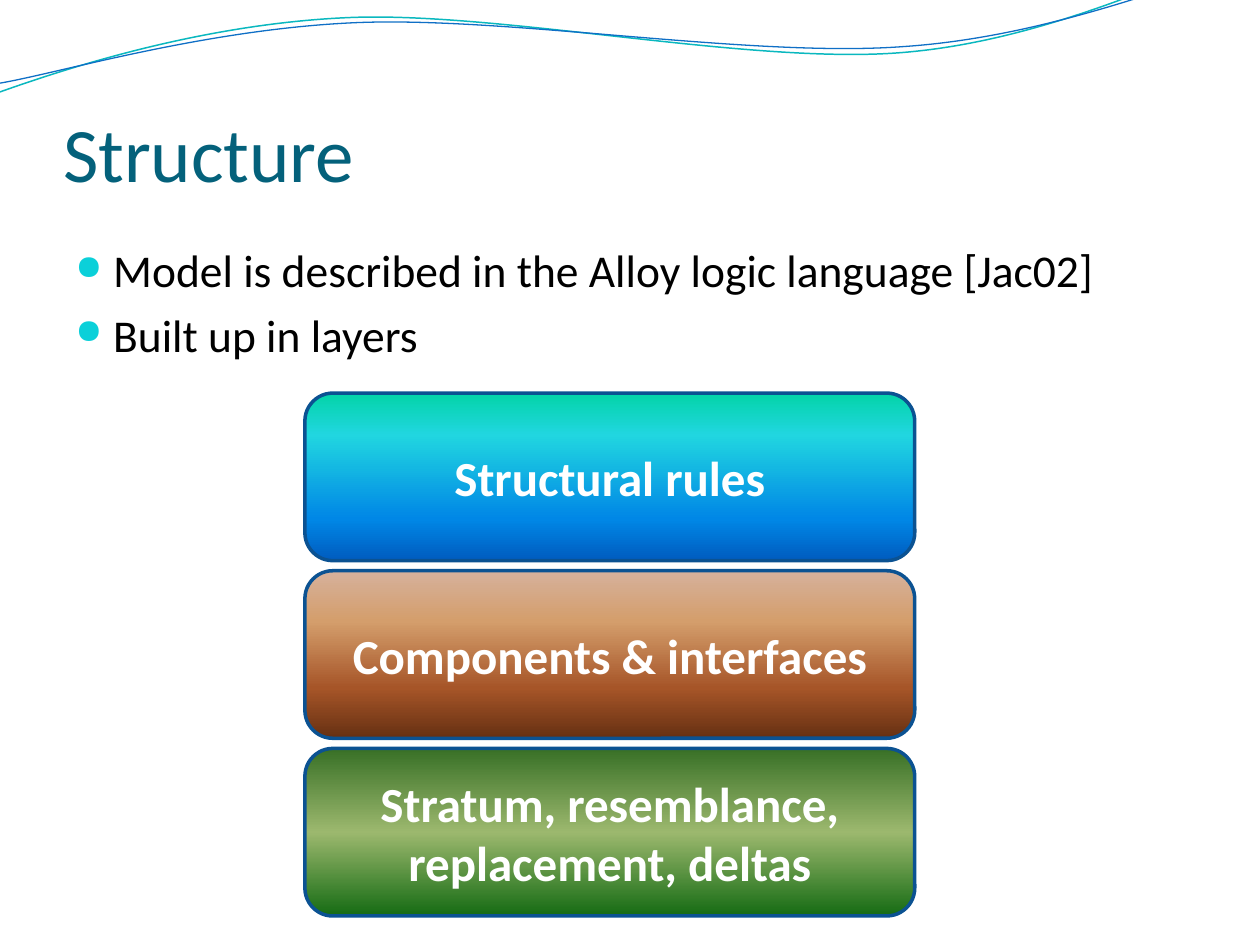
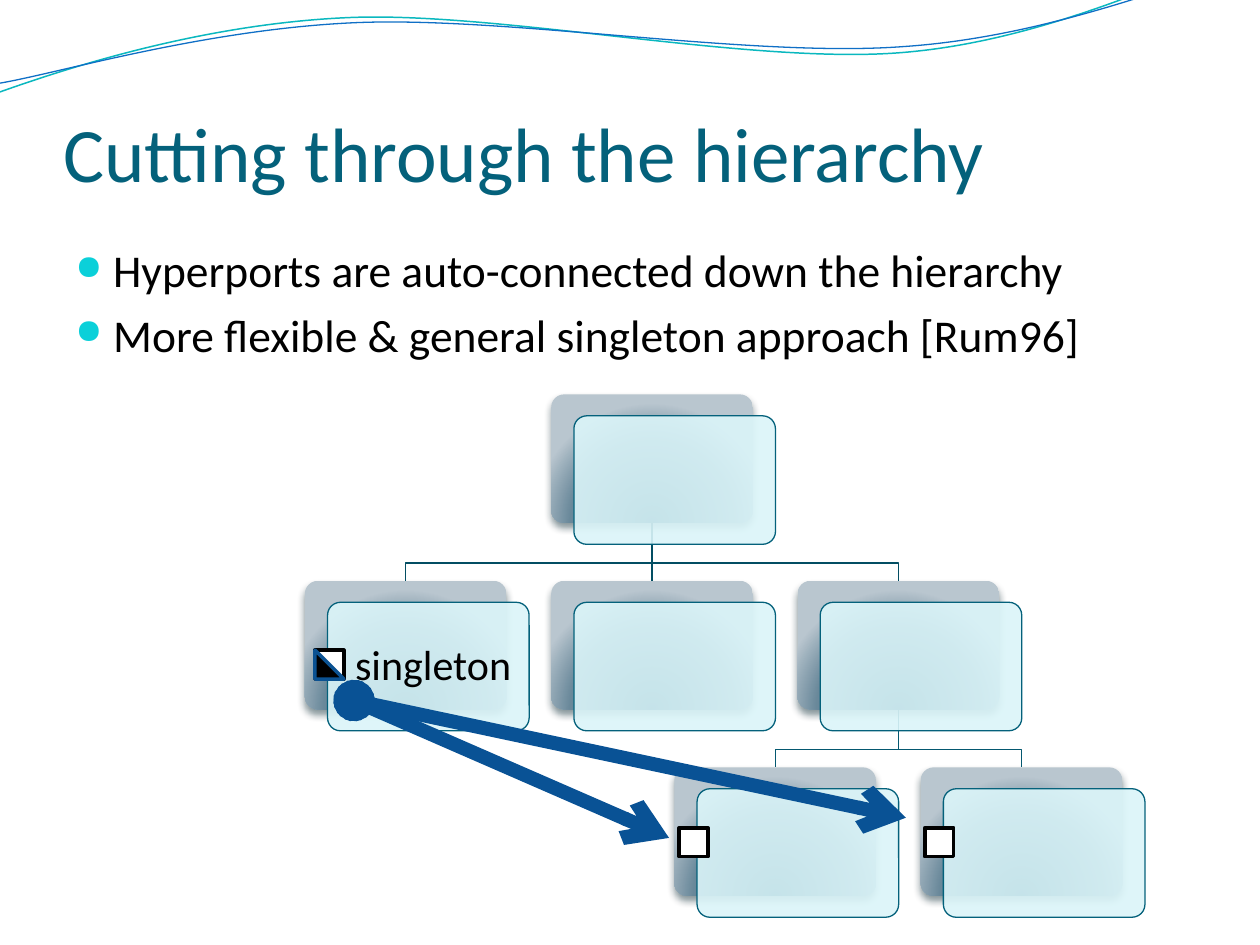
from lxml import etree
from pptx import Presentation
from pptx.dml.color import RGBColor
from pptx.enum.shapes import MSO_CONNECTOR, MSO_SHAPE
from pptx.enum.text import MSO_ANCHOR, PP_ALIGN
from pptx.oxml.ns import qn
from pptx.util import Inches, Pt

# Content
STRUCTURE = {
    "title": "Structure",
    "bullets": ["Model is described in the Alloy logic language [Jac02]",
                "Built up in layers"],
}
HIERARCHY = {
    "title": "Cutting through the hierarchy",
    "bullets": ["Hyperports are auto-connected down the hierarchy",
                "More flexible & general singleton approach [Rum96]"],
}
LAYERS = [  # text, gradient stops; top layer first
    ("Structural rules",
     [(0, "03D4A8"), (25, "21D6E0"), (75, "0087E6"), (100, "005CBF")]),
    ("Components & interfaces",
     [(0, "D6B19C"), (30, "D49E6C"), (70, "A65528"), (100, "663012")]),
    ("Stratum, resemblance, replacement, deltas",
     [(0, "387026"), (50, "9CB86E"), (100, "156B13")]),
]
NODES = {  # name: (column, row, parent, text)
    "root": (1, 0, None, ""),
    "left": (0, 1, "root", " singleton"),
    "middle": (1, 1, "root", ""),
    "right": (2, 1, "root", ""),
    "leaf one": (1.5, 2, "right", ""),
    "leaf two": (2.5, 2, "right", ""),
}
LINK_COLORS = {1: "034E63", 2: "045870"}  # by row of the child
PORTS = [(2.5, 5.16), (5.39, 6.57), (7.34, 6.57)]
HYPERPORT = (2.81, 5.56)
ARROW_ENDS = [(5.31, 6.65), (7.19, 6.49)]

# Shared look
FONT = "Calibri"
TITLE_COLOR, BULLET_COLOR, BLUE = "04617B", "0BD0D9", "0B5292"
ARROW_COLOR, PANE_COLOR = "095295", "DBF5F9"
NODE_STOPS = [(0, "00435F"), (68, "69889A"), (100, "B9C6CF")]
WAVES = [  # colour, width, start followed by three points per Bézier piece
    ("0AB8BF", 0.85,
     [(0, 0.73), (0.48, 0.56), (1.58, 0.19), (2.77, 0.14),
      (3.95, 0.09), (5.93, 0.51), (7.13, 0.42),
      (8.33, 0.33), (9.38, -0.23), (9.98, -0.4)]),
    ("0F6FC6", 0.75,
     [(0, 0.66), (0.47, 0.58), (1.64, 0.23), (2.83, 0.18),
      (4.03, 0.13), (5.97, 0.46), (7.17, 0.37),
      (8.36, 0.29), (9.41, -0.17), (10, -0.32)]),
]

# Geometry
LAYER_LEFT, LAYER_TOP, LAYER_STEP = 2.42, 3.12, 1.41
LAYER_SIZE = (4.84, 1.33)
TREE_LEFT, TREE_RIGHT, TREE_TOP, ROW_STEP = 2.42, 6.33, 3.13, 1.48
COLUMN_STEP = (TREE_RIGHT - TREE_LEFT) / 2
NODE_SIZE = (1.6, 1.02)
PANE_SHIFT = (0.18, 0.17)
ELBOW_DROP = 0.32
PORT_SIZE = (0.23, 0.23)


def rgb(value):
    return RGBColor.from_string(value)


def add_xml(parent, tag, **attributes):
    child = etree.SubElement(parent, qn(tag))
    for name, value in attributes.items():
        child.set(name, str(value))
    return child


def add_color(parent, color, alpha=None):
    node = add_xml(parent, "a:srgbClr", val=color)
    if alpha is not None:
        add_xml(node, "a:alpha", val=alpha * 1000)


def set_line(shape, color, width):
    shape.line.color.rgb = rgb(color)
    shape.line.width = Pt(width)


def write(paragraph, text, size, color, bold=False):
    span = paragraph.add_run()
    span.text = text
    span.font.name, span.font.size, span.font.bold = FONT, Pt(size), bold
    span.font.color.rgb = rgb(color)


def write_centred(shape, text, size, color, bold=False):
    frame = shape.text_frame
    frame.word_wrap = True
    frame.vertical_anchor = MSO_ANCHOR.MIDDLE
    paragraph = frame.paragraphs[0]
    paragraph.alignment = PP_ALIGN.CENTER
    write(paragraph, text, size, color, bold)
    return paragraph


def add_box(page, kind, place, size, fill=None, line=None, width=2):
    shape = page.shapes.add_shape(kind, *map(Inches, (*place, *size)))
    shape.shadow.inherit = False
    if fill:
        shape.fill.solid()
        shape.fill.fore_color.rgb = rgb(fill)
    if line:
        set_line(shape, line, width)
    else:
        shape.line.fill.background()
    return shape


def set_gradient(shape, stops, radial=False):
    shape.fill.gradient()
    gradient = shape.element.spPr.find(qn("a:gradFill"))
    for child in list(gradient):
        gradient.remove(child)
    stop_list = add_xml(gradient, "a:gsLst")
    for position, color in stops:
        add_color(add_xml(stop_list, "a:gs", pos=position * 1000), color)
    if radial:
        circle = add_xml(gradient, "a:path", path="circle")
        add_xml(circle, "a:fillToRect", l=50000, t=130000, r=50000, b=-30000)
    else:
        add_xml(gradient, "a:lin", ang=90 * 60000, scaled=0)


def add_outline(page, points, color, width):
    points = [(Inches(x), Inches(y)) for x, y in points]
    builder = page.shapes.build_freeform(*points[0])
    builder.add_line_segments(points[1:], close=False)
    shape = builder.convert_to_shape()
    shape.fill.background()
    shape.shadow.inherit = False
    set_line(shape, color, width)
    return shape


def bend(shape):
    """Turn every three straight segments into one Bézier piece."""
    segments = list(shape.element.spPr.iter(qn("a:lnTo")))
    outline = segments[0].getparent()
    for first in range(0, len(segments), 3):
        curve = add_xml(outline, "a:cubicBezTo")
        for segment in segments[first:first + 3]:
            curve.append(segment[0])
            outline.remove(segment)


def add_page(deck, content):
    page = deck.slides.add_slide(deck.slide_layouts[5])
    for color, width, points in WAVES:
        bend(add_outline(page, points, color, width))

    # Title
    title = page.shapes.title
    title.left, title.top, title.width, title.height = map(
        Inches, (0.5, 0.55, 9, 1.02))
    frame = title.text_frame
    frame.vertical_anchor = MSO_ANCHOR.BOTTOM
    frame.margin_left = frame.margin_right = frame.margin_bottom = 0
    frame.margin_top = Inches(0.05)
    frame.paragraphs[0].alignment = PP_ALIGN.LEFT
    write(frame.paragraphs[0], content["title"], 44, TITLE_COLOR)

    # Bullets
    body = page.shapes.add_textbox(*map(Inches, (0.5, 1.87, 9, 5.04)))
    frame = body.text_frame
    frame.word_wrap = True
    for index, text in enumerate(content["bullets"]):
        paragraph = frame.add_paragraph() if index else frame.paragraphs[0]
        paragraph.space_before = Pt(5.8)
        write(paragraph, text, 26, "000000")
        properties = paragraph._p.get_or_add_pPr()
        properties.set("marL", str(Inches(0.3)))
        properties.set("indent", str(-Inches(0.3)))
        add_color(add_xml(properties, "a:buClr"), BULLET_COLOR)
        add_xml(properties, "a:buSzPct", val=75000)
        add_xml(properties, "a:buChar", char="●")
    return page


def add_layers(page):
    for index, (text, stops) in enumerate(LAYERS):
        place = (LAYER_LEFT, LAYER_TOP + index * LAYER_STEP)
        layer = add_box(page, MSO_SHAPE.ROUNDED_RECTANGLE, place, LAYER_SIZE,
                        line=BLUE)
        set_gradient(layer, stops)
        write_centred(layer, text, 28, "FFFFFF", bold=True)


def node_place(name):
    column, row = NODES[name][:2]
    return TREE_LEFT + column * COLUMN_STEP, TREE_TOP + row * ROW_STEP


def add_link(page, parent, child):
    width, height = NODE_SIZE
    (x1, y1), (x2, y2) = node_place(parent), node_place(child)
    start, end = (x1 + width / 2, y1 + height), (x2 + width / 2, y2)
    elbow = start[1] + ELBOW_DROP
    corners = [] if x1 == x2 else [(start[0], elbow), (end[0], elbow)]
    add_outline(page, [start, *corners, end],
                LINK_COLORS[NODES[child][1]], 0.75)


def add_node(page, name):
    x, y = node_place(name)
    back = add_box(page, MSO_SHAPE.ROUNDED_RECTANGLE, (x, y), NODE_SIZE)
    set_gradient(back, NODE_STOPS, radial=True)
    effects = back.element.spPr.find(qn("a:effectLst"))
    shadow = add_xml(effects, "a:outerShdw", blurRad=Pt(4.5), dist=Pt(3),
                     dir=90 * 60000, rotWithShape=0)
    add_color(shadow, "00232C", 48)

    pane_place = (x + PANE_SHIFT[0], y + PANE_SHIFT[1])
    pane = add_box(page, MSO_SHAPE.ROUNDED_RECTANGLE, pane_place, NODE_SIZE,
                   PANE_COLOR, TITLE_COLOR, 0.75)
    pane_fill = pane.element.spPr.find(qn("a:solidFill"))
    add_xml(pane_fill[0], "a:alpha", val=90000)
    back.adjustments[0] = pane.adjustments[0] = 0.1

    text = NODES[name][3]
    if text:
        label = page.shapes.add_textbox(*map(Inches, (*pane_place, *NODE_SIZE)))
        frame = label.text_frame
        frame.margin_top = frame.margin_bottom = Inches(0.1)
        write_centred(label, text, 24, "000000").line_spacing = 0.9


def add_hierarchy(page):
    # Tree, links behind the nodes
    for name, (_, _, parent, _) in NODES.items():
        if parent:
            add_link(page, parent, name)
    for name in NODES:
        add_node(page, name)

    # Ports, the first one half filled
    for place in PORTS:
        add_box(page, MSO_SHAPE.RECTANGLE, place, PORT_SIZE, "FFFFFF", "000000")
    add_box(page, MSO_SHAPE.RIGHT_TRIANGLE, PORTS[0], PORT_SIZE, "000000", BLUE)

    # Hyperport arrows
    for end in ARROW_ENDS:
        arrow = page.shapes.add_connector(
            MSO_CONNECTOR.STRAIGHT, *map(Inches, (*HYPERPORT, *end)))
        set_line(arrow, ARROW_COLOR, 8)
        add_xml(arrow.element.spPr, "a:effectLst")
        outline = arrow.element.spPr.find(qn("a:ln"))
        add_xml(outline, "a:headEnd", type="oval")
        add_xml(outline, "a:tailEnd", type="arrow")


def main():
    deck = Presentation()
    deck.slide_width, deck.slide_height = Inches(10), Inches(7.5)
    add_layers(add_page(deck, STRUCTURE))
    add_hierarchy(add_page(deck, HIERARCHY))
    deck.save("out.pptx")


if __name__ == "__main__":
    main()
